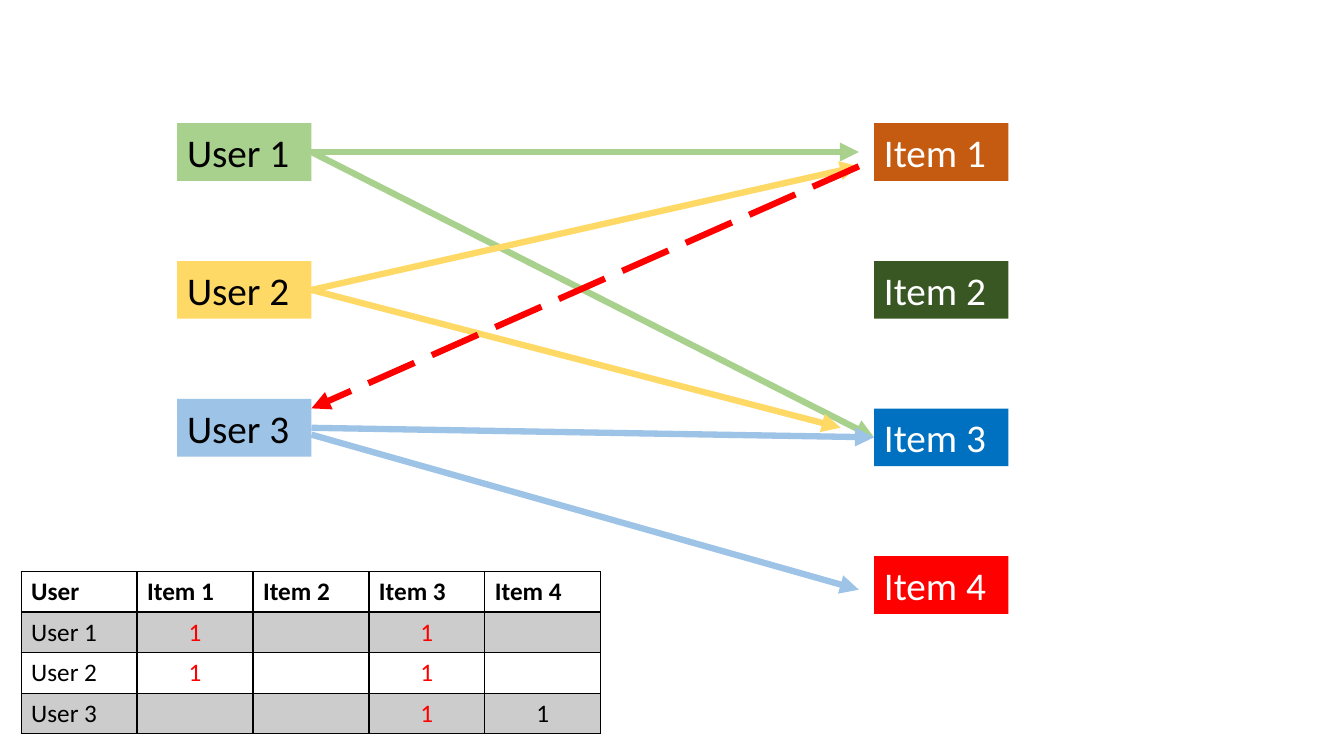
"""Draw users linked to items, with a table of their ratings."""
from dataclasses import dataclass
from typing import Optional, Union

from lxml.etree import SubElement
from pptx import Presentation
from pptx.dml.color import RGBColor
from pptx.enum.dml import MSO_LINE
from pptx.enum.shapes import MSO_CONNECTOR, MSO_SHAPE
from pptx.enum.text import MSO_ANCHOR, MSO_AUTO_SIZE, PP_ALIGN
from pptx.oxml import parse_xml
from pptx.oxml.ns import nsdecls, qn
from pptx.shapes.autoshape import Shape
from pptx.slide import Slide
from pptx.table import _Cell
from pptx.text.text import _Paragraph
from pptx.util import Pt


@dataclass(frozen=True)
class Theme:
    font: str = "Calibri"
    label: float = 28
    cell: float = 18
    stroke: float = 4.5
    shade: int = 20
    black: str = "000000"
    white: str = "FFFFFF"
    red: str = "FF0000"
    green: str = "A9D18E"
    gold: str = "FFD966"
    sky: str = "9DC3E6"
    rust: str = "C55A11"
    forest: str = "385723"
    blue: str = "0070C0"


@dataclass(frozen=True)
class Box:
    name: str
    left: float
    top: float
    fill: str
    ink: str


Spot = Union[str, tuple[float, float]]


@dataclass(frozen=True)
class Arrow:
    start: Spot
    end: Spot
    color: str
    dash: Optional[MSO_LINE] = None


THEME = Theme()
WIDTH, HEIGHT = 96, 41.2
USER, ITEM = 126.5, 624.3
RIGHT = USER + WIDTH
TIP = 613.5

BOXES = [
    Box("User 1", USER, 88, THEME.green, THEME.black),
    Box("User 2", USER, 186.5, THEME.gold, THEME.black),
    Box("User 3", USER, 285, THEME.sky, THEME.black),
    Box("Item 1", ITEM, 88, THEME.rust, THEME.white),
    Box("Item 2", ITEM, 186.5, THEME.forest, THEME.white),
    Box("Item 3", ITEM, 291.8, THEME.blue, THEME.white),
    Box("Item 4", ITEM, 397.3, THEME.red, THEME.white),
]

ARROWS = [
    Arrow("User 1", (TIP, 108.6), THEME.green),
    Arrow("User 1", "Item 3", THEME.green),
    Arrow((RIGHT, 310.5), (TIP, 421.2), THEME.sky),
    Arrow("User 3", "Item 3", THEME.sky),
    Arrow("User 2", (TIP, 118.8), THEME.gold),
    Arrow("User 2", (600.5, 305.5), THEME.gold),
    Arrow((TIP, 118.8), (RIGHT, 291.7), THEME.red, MSO_LINE.LONG_DASH),
]

ROWS = [
    ["User", "Item 1", "Item 2", "Item 3", "Item 4"],
    ["User 1", "1", "", "1", ""],
    ["User 2", "1", "", "1", ""],
    ["User 3", "", "", "1", "1"],
]


def style(par: _Paragraph, size: float, color: str, bold: bool = False) -> None:
    par.font.size = Pt(size)
    for run in par.runs:
        run.font.name = THEME.font
        run.font.size = Pt(size)
        run.font.bold = bold
        run.font.color.rgb = RGBColor.from_string(color)


def draw_box(slide: Slide, box: Box) -> Shape:
    shape = slide.shapes.add_shape(
        MSO_SHAPE.RECTANGLE, Pt(box.left), Pt(box.top), Pt(WIDTH), Pt(HEIGHT))
    shape.name = box.name
    shape.shadow.inherit = False
    shape.fill.solid()
    shape.fill.fore_color.rgb = RGBColor.from_string(box.fill)
    shape.line.fill.background()
    frame = shape.text_frame
    frame.text = box.name
    frame.word_wrap = True
    frame.auto_size = MSO_AUTO_SIZE.SHAPE_TO_FIT_TEXT
    frame.vertical_anchor = MSO_ANCHOR.TOP
    par = frame.paragraphs[0]
    par.alignment = PP_ALIGN.LEFT
    style(par, THEME.label, box.ink)
    return shape


def draw_arrow(slide: Slide, arrow: Arrow, shapes: dict[str, Shape]) -> None:
    ends = [(0, 0) if isinstance(spot, str) else spot
            for spot in (arrow.start, arrow.end)]
    line = slide.shapes.add_connector(
        MSO_CONNECTOR.STRAIGHT, *(Pt(value) for end in ends for value in end))
    if isinstance(arrow.start, str):
        line.begin_connect(shapes[arrow.start], 3)
    if isinstance(arrow.end, str):
        line.end_connect(shapes[arrow.end], 1)
    line.line.width = Pt(THEME.stroke)
    line.line.color.rgb = RGBColor.from_string(arrow.color)
    if arrow.dash is not None:
        line.line.dash_style = arrow.dash
    SubElement(line.line._get_or_add_ln(), qn("a:tailEnd"), type="triangle")
    SubElement(line._element.spPr, qn("a:effectLst"))


def draw_edges(cell: _Cell, head: bool) -> None:
    props = cell._tc.get_or_add_tcPr()
    for spot, side in enumerate("LRTB"):
        width = Pt(2 if head and side == "B" else 1)
        props.insert(spot, parse_xml(
            f'<a:ln{side} {nsdecls("a")} w="{width}"><a:solidFill>'
            f'<a:srgbClr val="{THEME.black}"/></a:solidFill></a:ln{side}>'))


def draw_cell(cell: _Cell, text: str, row: int, col: int) -> None:
    cell.text = text
    par = cell.text_frame.paragraphs[0]
    if row and col:
        par.alignment = PP_ALIGN.CENTER
    color = THEME.red if row and col in (1, 3) else THEME.black
    style(par, THEME.cell, color, bold=row == 0)
    if row % 2:
        cell.fill.solid()
        cell.fill.fore_color.rgb = RGBColor.from_string(THEME.black)
        tint = cell._tc.tcPr.find(".//" + qn("a:srgbClr"))
        SubElement(tint, qn("a:alpha"), val=str(THEME.shade * 1000))
    else:
        cell.fill.background()
    draw_edges(cell, row == 0)


def draw_table(slide: Slide) -> None:
    table = slide.shapes.add_table(
        len(ROWS), len(ROWS[0]), Pt(15.1), Pt(408.2), Pt(414), Pt(116)).table
    for row, texts in enumerate(ROWS):
        for col, text in enumerate(texts):
            draw_cell(table.cell(row, col), text, row, col)


def main() -> None:
    deck = Presentation()
    deck.slide_width, deck.slide_height = Pt(960), Pt(540)
    slide = deck.slides.add_slide(deck.slide_layouts[6])
    shapes = {box.name: draw_box(slide, box) for box in BOXES}
    draw_table(slide)
    for arrow in ARROWS:
        draw_arrow(slide, arrow, shapes)
    deck.save("out.pptx")


if __name__ == "__main__":
    main()
